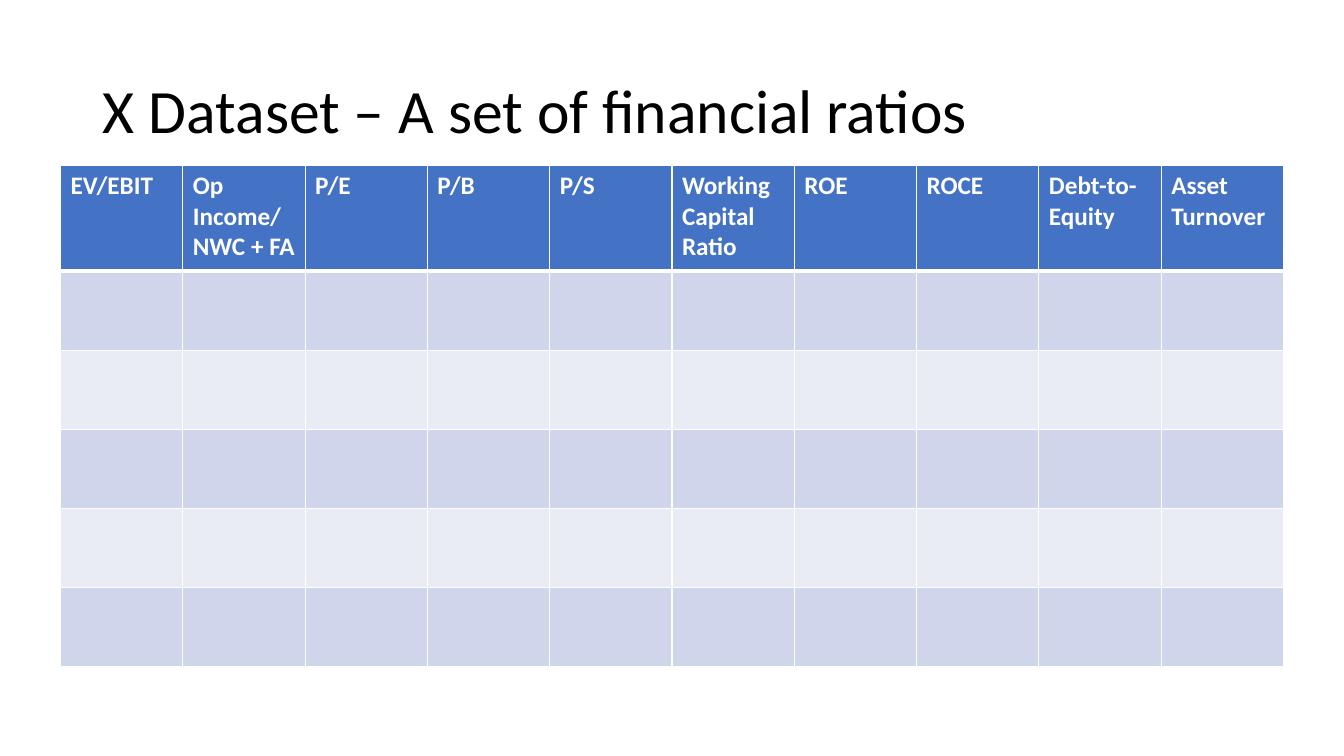
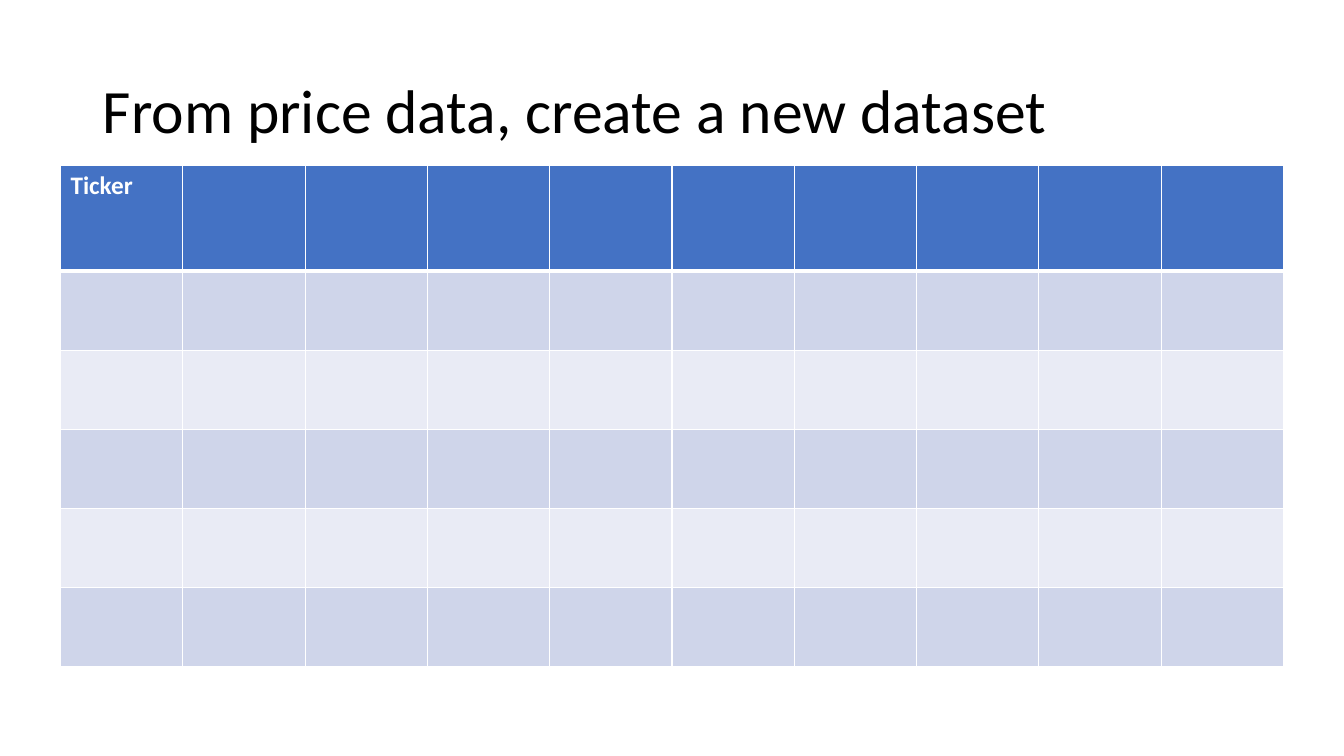
"""Two slides, each a title above a banded dataset grid."""
from lxml import etree
from pptx import Presentation
from pptx import util as u
from pptx.dml.color import RGBColor
from pptx.enum import text
from pptx.oxml.ns import qn

FONT = "Calibri"
BLACK, WHITE = "000000", "FFFFFF"
HEADER_FILL = "4472C4"
BAND_FILLS = ("CFD5EA", "E9EBF5")

TITLE_BOX = (0.92, 0.4, 11.5, 1.45)
TABLE_BOX = (0.6, 1.64, 12.13, 4.97)
COLUMNS, BODY_ROWS = 10, 5
HEADER_HEIGHT = 1.05
THIN_RULE, THICK_RULE = 1, 3

TITLE_FORMAT = {"name": FONT, "size": u.Pt(44), "bold": False}
HEADER_FORMAT = {"name": FONT, "size": u.Pt(18), "bold": True}

SLIDES = [
    ("X Dataset – A set of financial ratios",
     ["EV/EBIT", "Op Income/ NWC + FA", "P/E", "P/B", "P/S",
      "Working Capital Ratio", "ROE", "ROCE", "Debt-to-Equity",
      "Asset Turnover"]),
    ("From price data, create a new dataset", ["Ticker"]),
]


def color(value):
    """Turn a hex string into a colour."""
    return RGBColor.from_string(value)


def write(para, words, font_format, hex_color):
    """Add one formatted span to a paragraph."""
    span = para.add_run()
    span.text = words
    for name, value in font_format.items():
        setattr(span.font, name, value)
    span.font.color.rgb = color(hex_color)


def fill_cell(cell, hex_color, top, bottom):
    """Give a cell its white borders, then its fill."""
    properties = cell._tc.get_or_add_tcPr()
    widths = {"lnL": THIN_RULE, "lnR": THIN_RULE, "lnT": top, "lnB": bottom}
    for side, width in widths.items():
        line = etree.SubElement(properties, qn("a:" + side), w=str(u.Pt(width)))
        solid = etree.SubElement(line, qn("a:solidFill"))
        etree.SubElement(solid, qn("a:srgbClr"), val=WHITE)
    cell.fill.solid()
    cell.fill.fore_color.rgb = color(hex_color)


def add_title(page, words, box):
    """Place the title placeholder in its box and write the title."""
    title = page.shapes.title
    title.left, title.top, title.width, title.height = map(u.Inches, box)
    frame_format = {"word_wrap": True,
                    "auto_size": text.MSO_AUTO_SIZE.NONE,
                    "vertical_anchor": text.MSO_ANCHOR.MIDDLE}
    for name, value in frame_format.items():
        setattr(title.text_frame, name, value)
    para = title.text_frame.paragraphs[0]
    para.alignment = text.PP_ALIGN.LEFT
    para.line_spacing = 0.9
    write(para, words, TITLE_FORMAT, BLACK)


def add_dataset(page, headings, box):
    """Place a grid with a header row and alternating empty body rows."""
    width, height = box[2:]
    table = page.shapes.add_table(
        BODY_ROWS + 1, COLUMNS, *map(u.Inches, box)).table
    for column in table.columns:
        column.width = u.Inches(width / COLUMNS)
    body_height = (height - HEADER_HEIGHT) / BODY_ROWS
    for index, row in enumerate(table.rows):
        is_header = index == 0
        row.height = u.Inches(HEADER_HEIGHT if is_header else body_height)
        fill = HEADER_FILL if is_header else BAND_FILLS[(index - 1) % 2]
        top = THICK_RULE if index == 1 else THIN_RULE
        bottom = THICK_RULE if is_header else THIN_RULE
        for cell in row.cells:
            fill_cell(cell, fill, top, bottom)
    for index, heading in enumerate(headings):
        para = table.cell(0, index).text_frame.paragraphs[0]
        write(para, heading, HEADER_FORMAT, WHITE)


def add_dataset_slide(deck, title, headings):
    """Add a slide with a title and a dataset grid."""
    page = deck.slides.add_slide(deck.slide_layouts.get_by_name("Title Only"))
    add_title(page, title, TITLE_BOX)
    add_dataset(page, headings, TABLE_BOX)


def main():
    """Build and save the deck."""
    deck = Presentation()
    deck.slide_width, deck.slide_height = u.Inches(13.33), u.Inches(7.5)
    for title, headings in SLIDES:
        add_dataset_slide(deck, title, headings)
    deck.save("out.pptx")


main()
